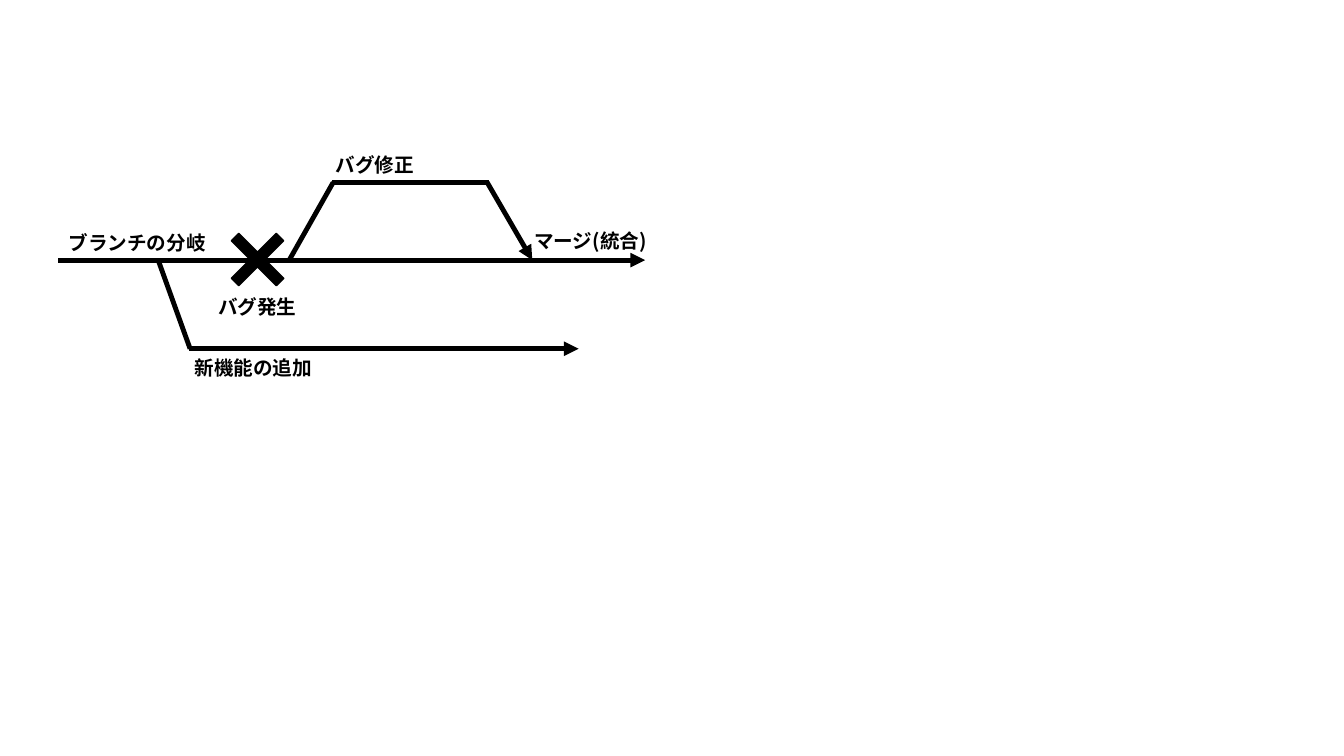
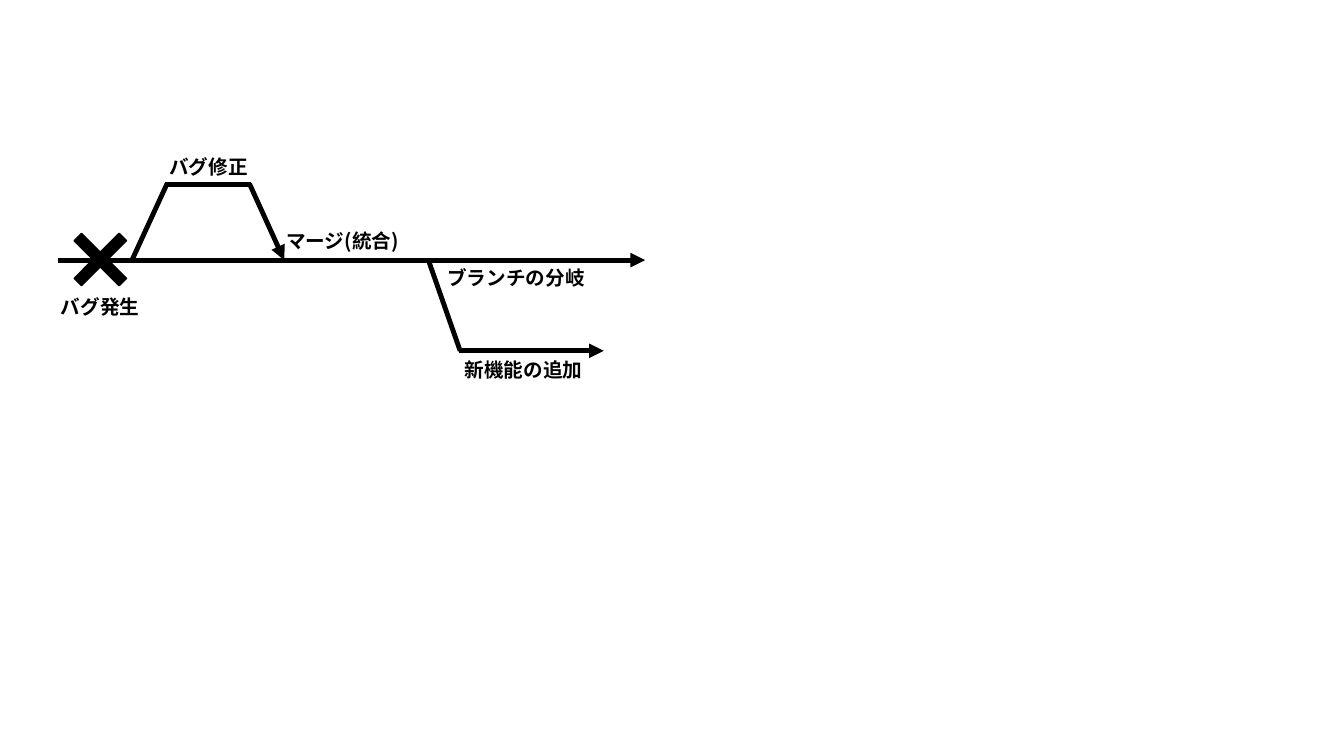
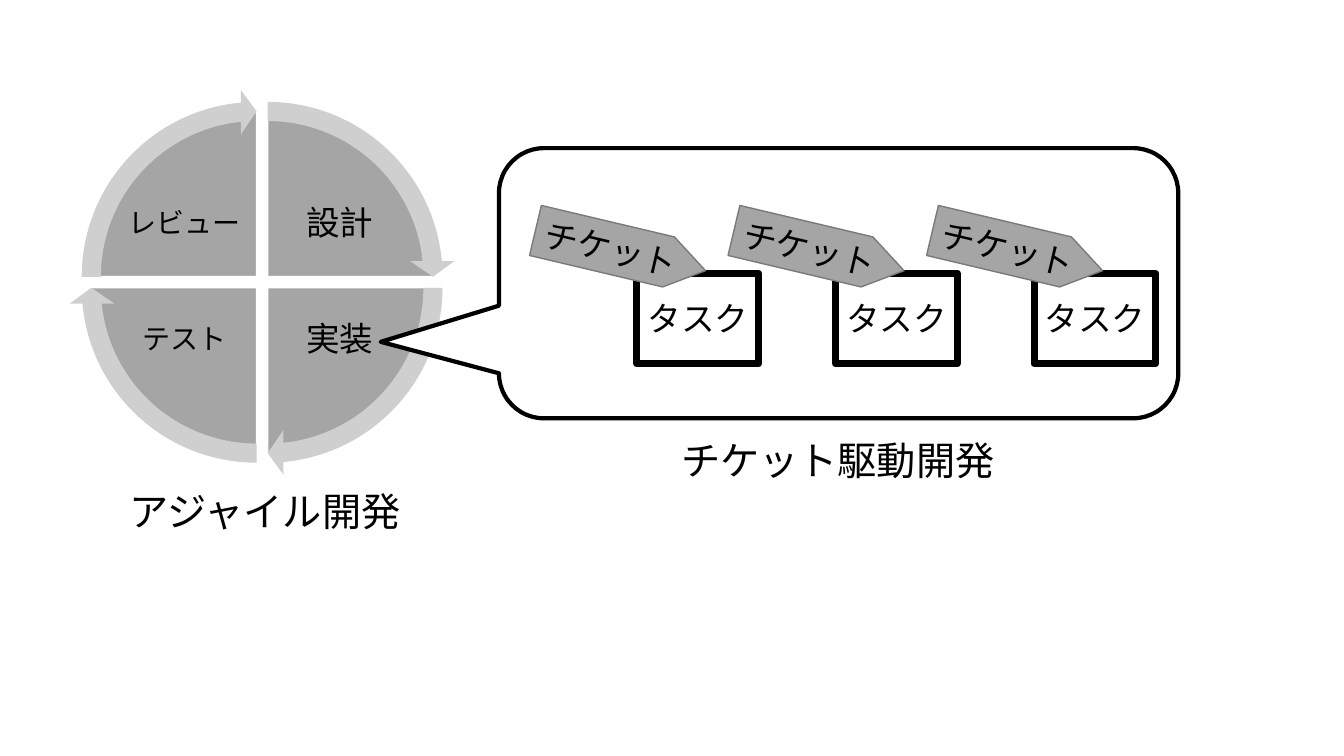
from dataclasses import dataclass

from lxml.etree import SubElement
from pptx import Presentation
from pptx.dml.color import RGBColor
from pptx.enum.shapes import MSO_CONNECTOR as Connector, MSO_SHAPE as Preset
from pptx.enum.text import MSO_ANCHOR as Anchor, MSO_AUTO_SIZE as AutoSize, PP_ALIGN as Align
from pptx.oxml.ns import qn
from pptx.util import Pt

FONT = "Noto Sans CJK JP"
BLACK, WHITE = "000000", "FFFFFF"
GRAY, PALE_GRAY, EDGE_GRAY = "A5A5A5", "CFCFCF", "7A7A7A"
TRUNK_Y, TRUNK_START, TRUNK_END = 185.8, 41.8, 460.8
JOIN = 1
QUARTER = 90
HEAD_ANGLE = 5.46


@dataclass
class History:
    """Places that differ between two branch histories."""
    cross_x: float
    fix_start: float
    fix_left: float
    fix_right: float
    merge_x: float
    fix_y: float
    split_x: float
    feature_x: float
    feature_end: float
    feature_y: float
    split_label: tuple


def rgb(code):
    """Turn a hex string into a colour."""
    return RGBColor.from_string(code)


def points(*lengths):
    """Turn plain numbers into point lengths."""
    return [Pt(length) for length in lengths]


def write(frame, text, size, bold=False):
    """Put one styled paragraph into a text frame and return it."""
    frame.word_wrap = True
    frame.text = text
    paragraph = frame.paragraphs[0]
    font = paragraph.runs[0].font
    font.name, font.size, font.bold = FONT, Pt(size), bold
    font.color.rgb = rgb(BLACK)
    latin = font._element.find(qn("a:latin"))
    east_asian = SubElement(font._element, qn("a:ea"), typeface=FONT)
    latin.addnext(east_asian)
    return paragraph


def add_label(slide, text, left, top, width, size=14, bold=True):
    """Add a left-aligned label that grows with its text."""
    height = 24.5 if size == 14 else 41
    frame = slide.shapes.add_textbox(*points(left, top, width, height)).text_frame
    write(frame, text, size, bold)
    frame.auto_size = AutoSize.SHAPE_TO_FIT_TEXT


def add_block(slide, preset, box, fill, edge=None, weight=1, adjust=(), turn=0):
    """Add a filled preset shape with its adjustments and rotation."""
    block = slide.shapes.add_shape(preset, *points(*box))
    block.shadow.inherit = False
    block.fill.solid()
    block.fill.fore_color.rgb = rgb(fill)
    if edge:
        block.line.color.rgb = rgb(edge)
        block.line.width = Pt(weight)
    else:
        block.line.fill.background()
    for index, amount in enumerate(adjust):
        block.adjustments[index] = amount
    block.rotation = turn
    return block


def add_centred(frame, text, size):
    """Write text in the middle of a frame and return its paragraph."""
    paragraph = write(frame, text, size)
    paragraph.alignment = Align.CENTER
    frame.vertical_anchor = Anchor.MIDDLE
    return paragraph


def add_path(slide, start, end, arrow=False):
    """Add a thick black line, with an arrowhead at its end if wanted."""
    path_line = slide.shapes.add_connector(Connector.STRAIGHT, *points(*start, *end))
    path_line.line.color.rgb = rgb(BLACK)
    path_line.line.width = Pt(3.5)
    if arrow:
        SubElement(path_line.line._get_or_add_ln(), qn("a:tailEnd"), type="triangle")
    SubElement(path_line._element.spPr, qn("a:effectLst"))


def draw_history(slide, h):
    """Draw a trunk with a bug fix that merges and a feature branch."""
    add_path(slide, (TRUNK_START, TRUNK_Y), (TRUNK_END, TRUNK_Y), True)
    add_path(slide, (h.fix_start, TRUNK_Y), (h.fix_left, h.fix_y))
    add_path(slide, (h.fix_left - JOIN, h.fix_y), (h.fix_right + JOIN, h.fix_y))
    add_path(slide, (h.fix_right, h.fix_y), (h.merge_x, TRUNK_Y), True)
    add_label(slide, "バグ修正", h.fix_left - 5.4, h.fix_y - 24.5, 96.5)
    add_block(slide, Preset.CROSS, (h.cross_x, 162.7, 45.4, 45.4), BLACK, BLACK,
              adjust=[0.418], turn=45)
    add_label(slide, "バグ発生", h.cross_x - 12.6, 207.4, 73.4)
    add_label(slide, "ブランチの分岐", *h.split_label, 122.4)
    add_label(slide, "マージ(統合)".replace("(", "(").replace(")", ")"),
              h.merge_x - 5.8, 159.8, 149.8)
    add_path(slide, (h.split_x, TRUNK_Y), (h.feature_x, h.feature_y))
    add_path(slide, (h.feature_x - JOIN, h.feature_y), (h.feature_end, h.feature_y), True)
    add_label(slide, "新機能の追加", h.feature_x - 4, h.feature_y + 1.5, 106.6)


def draw_cycle(slide):
    """Draw four phases as quarters of a wheel ringed by arrows."""
    gap, ring = 7.9, 14.7
    phases = [("設計", 24, 270, 1, 0), ("実装", 24, 0, 1, 1),
              ("テスト", 20, 90, 0, 1), ("レビュー", 20, 180, 0, 0)]
    corners = []
    for phase, size, start, column, row in phases:
        left, top = 64.1 + gap * column, 78.5 + gap * row
        end = (start + QUARTER) % 360
        add_block(slide, Preset.PIE, (left, top, 238.3, 238.3), GRAY, WHITE,
                  adjust=[start * 0.6, end * 0.6])
        label_box = points(87.8 + 110.9 * column, 127.4 + 82.8 * row, 87.8, 65.5)
        frame = slide.shapes.add_textbox(*label_box).text_frame
        frame.margin_left = frame.margin_right = Pt(2.2)
        frame.margin_top = frame.margin_bottom = Pt(2.2)
        add_centred(frame, phase, size).line_spacing = 0.9
        corners.append((left - ring, top - ring, start))
    for left, top, start in corners:
        tip = (start + QUARTER - HEAD_ANGLE) % 360
        add_block(slide, Preset.CIRCULAR_ARROW, (left, top, 267.8, 267.8), PALE_GRAY,
                  adjust=[0.051, HEAD_ANGLE * 0.6, tip * 0.6, start * 0.6, 0.059])


def draw_tickets(slide):
    """Draw the callout with three tasks, each with its ticket."""
    add_block(slide, Preset.ROUNDED_RECTANGULAR_CALLOUT, (356.4, 105.8, 485.3, 193),
              WHITE, BLACK, 3, [-0.674, 0.217, 0.167])
    for index in range(3):
        left = 455 + 141.8 * index
        task = add_block(slide, Preset.RECTANGLE, (left, 195.1, 87, 64.8), WHITE, BLACK, 5)
        add_centred(task.text_frame, "タスク", 24)
        ticket = add_block(slide, Preset.PENTAGON, (left - 74.2, 160.6, 124.8, 36.7),
                           GRAY, EDGE_GRAY, adjust=[0.739], turn=13.3)
        add_centred(ticket.text_frame, "チケット", 24)


def main():
    """Build the three slides and save them."""
    deck = Presentation()
    deck.slide_width, deck.slide_height = Pt(960), Pt(540)
    blank = deck.slide_layouts[6]
    histories = [
        History(161.3, 206.6, 238, 348, 380.2, 130.3,
                113, 135.8, 413.3, 249.1, (41.8, 161.3)),
        History(49, 94.3, 119.2, 178.3, 203, 131.5,
                306, 328.7, 431.3, 250.6, (312.5, 186.5)),
    ]
    for history in histories:
        draw_history(deck.slides.add_slide(blank), history)
    agile = deck.slides.add_slide(blank)
    draw_cycle(agile)
    draw_tickets(agile)
    add_label(agile, "アジャイル開発", 85.7, 344.9, 239, 28, False)
    add_label(agile, "チケット駆動開発", 479.5, 308.2, 239, 28, False)
    deck.save("out.pptx")


main()
